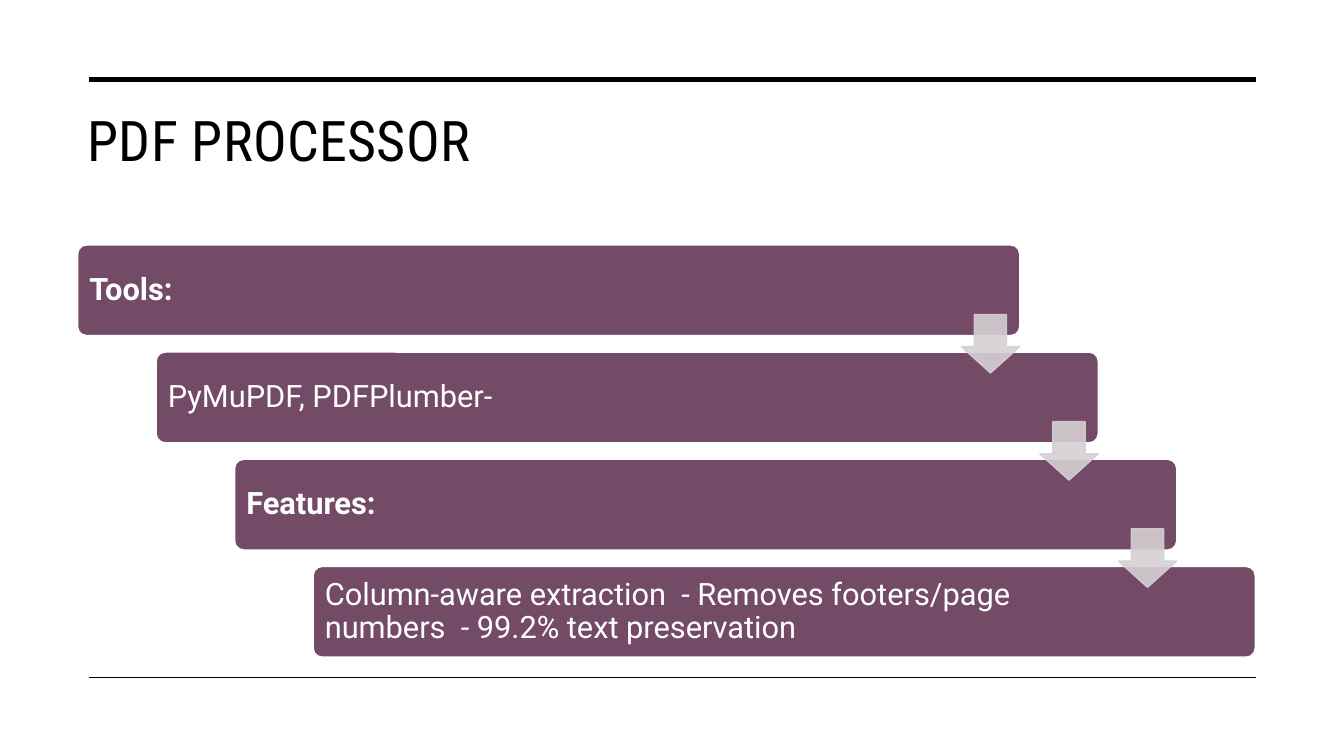
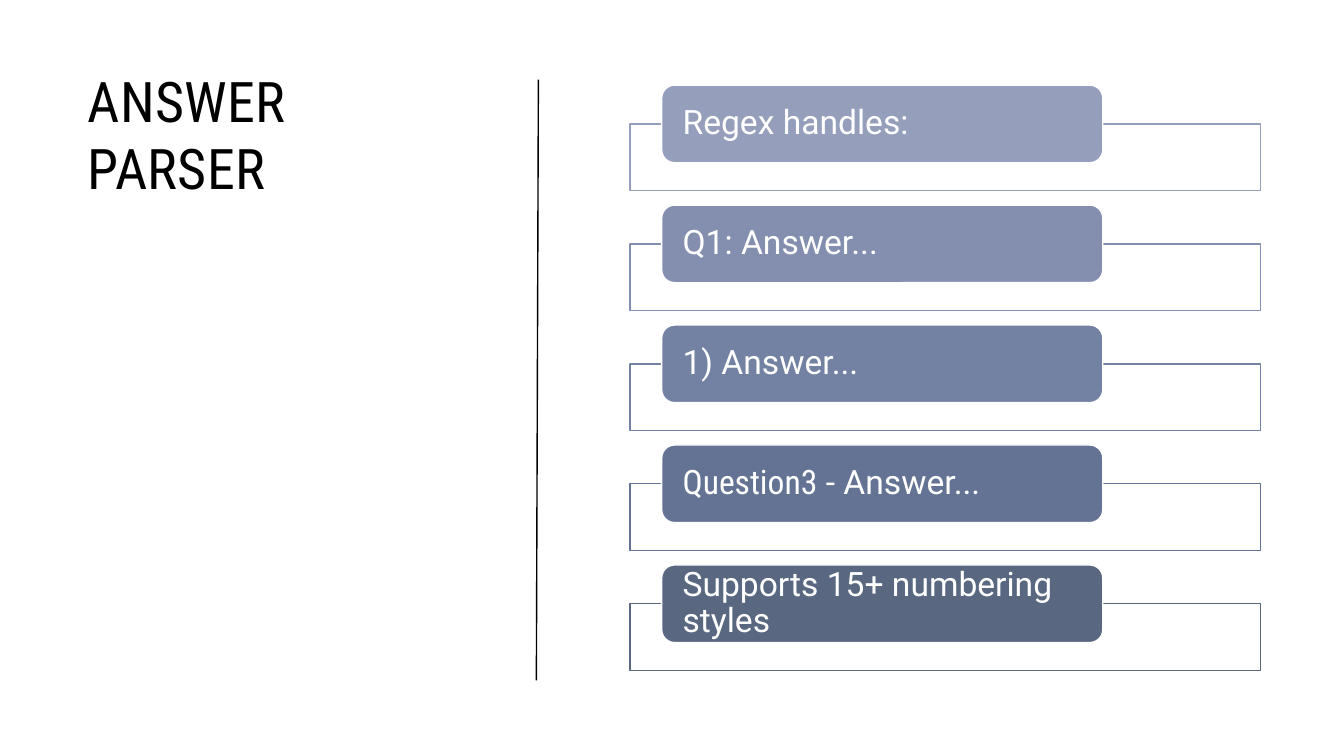
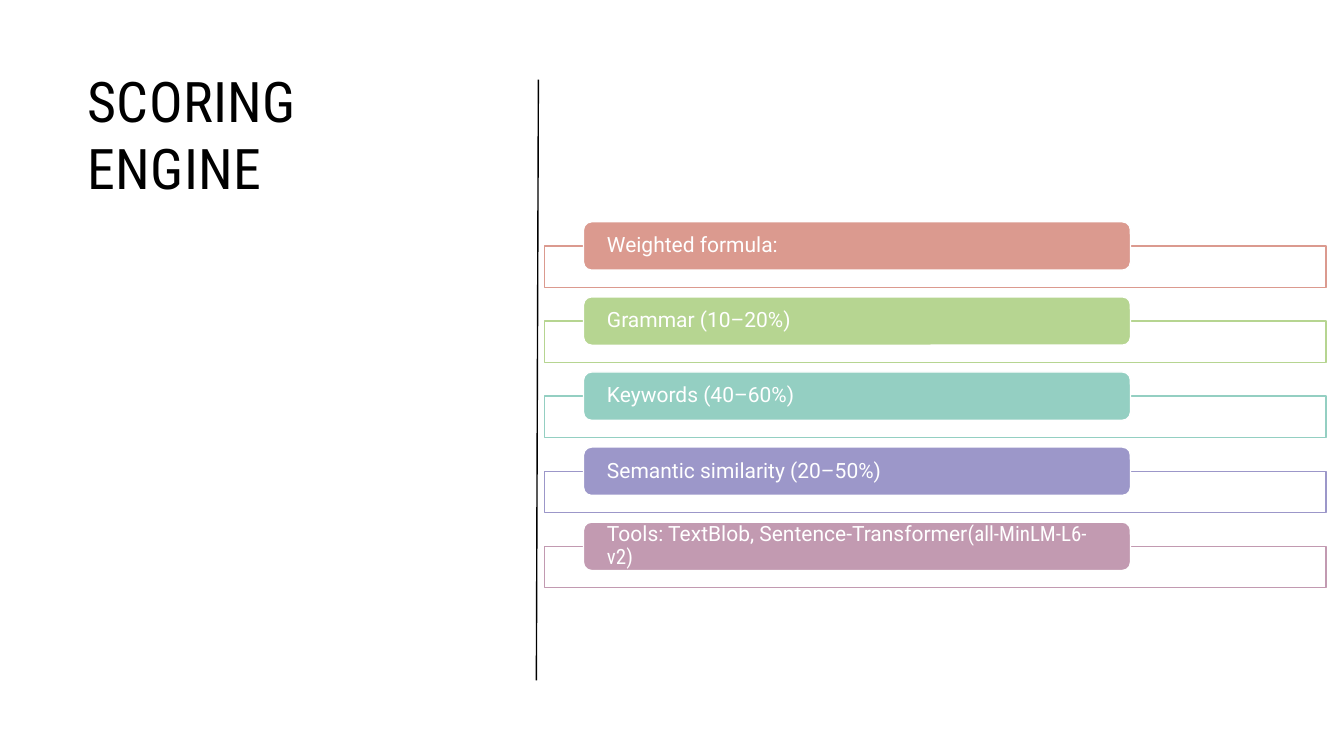
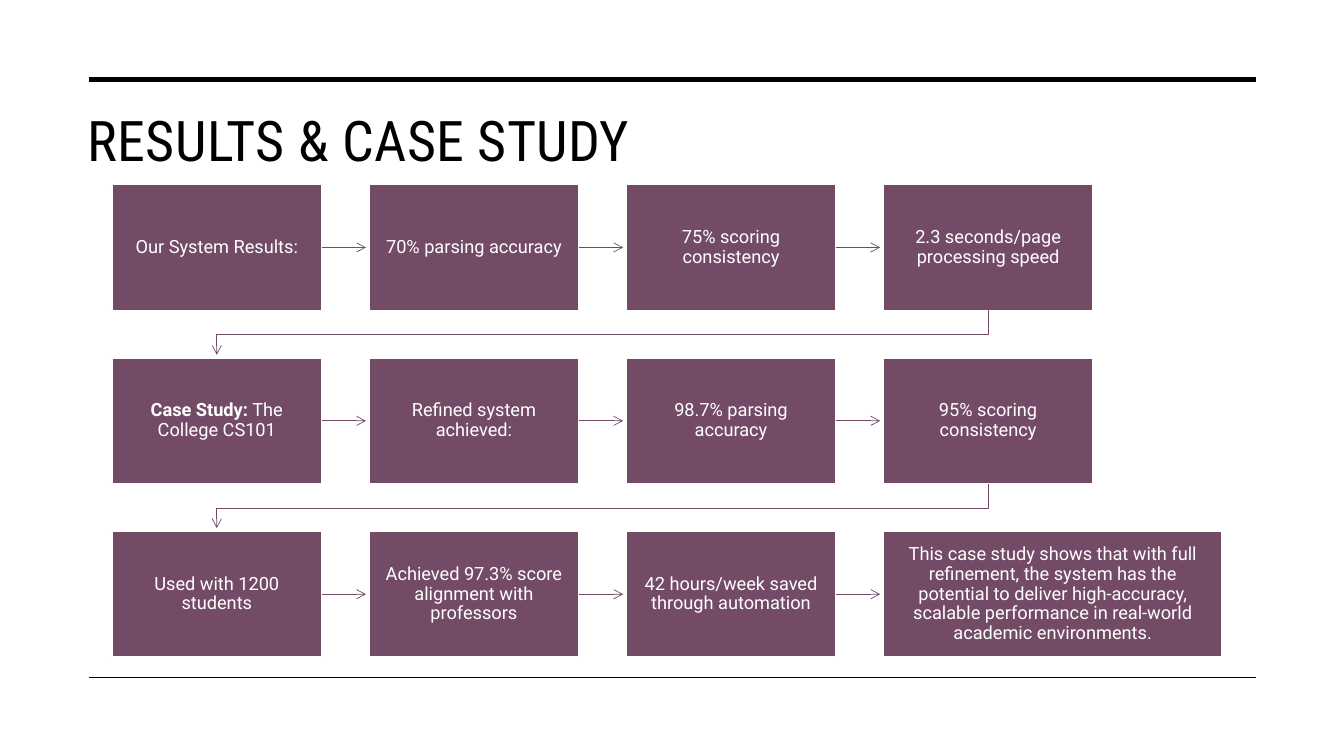
from dataclasses import dataclass
from pptx import Presentation
from pptx.dml.color import RGBColor
from pptx.enum.shapes import MSO_CONNECTOR, MSO_SHAPE
from pptx.enum.text import MSO_ANCHOR, PP_ALIGN
from pptx.oxml.ns import qn
from pptx.util import Inches, Pt
from lxml.etree import SubElement


@dataclass(frozen=True)
class Theme:
    black: str = "000000"
    white: str = "FFFFFF"
    plum: str = "734B67"
    pale: str = "D5D0D3"
    blues: tuple = ("959EBB", "848FAF", "7381A2", "647394", "596781")
    mixed: tuple = ("DB9A8F", "B6D591", "94CFC2", "9C97C9", "C29AB1")
    body: str = "Roboto"
    head: str = "Roboto Condensed"
    title: int = 40
    chip: int = 24
    step: int = 22
    small: int = 15
    card: int = 13


T = Theme()


# ---- Basic parts ----
def paint(fill, color, alpha=100):
    fill.solid()
    fill.fore_color.rgb = RGBColor.from_string(color)
    if alpha < 100:
        for tone in fill._xPr.iter(qn("a:srgbClr")):
            SubElement(tone, qn("a:alpha"), val=str(alpha * 1000))


def write(shape, text, size, font=T.body, color=T.white, bold=False, space=0,
          lead=0.9, align=PP_ALIGN.LEFT, anchor=MSO_ANCHOR.MIDDLE,
          inset=(0.1, 0.05, 0.1, 0.05)):
    """Text is a string, or a list of (string, changed format) runs."""
    frame = shape.text_frame
    frame.word_wrap = True
    frame.vertical_anchor = anchor
    (frame.margin_left, frame.margin_top,
     frame.margin_right, frame.margin_bottom) = map(Inches, inset)
    para = frame.paragraphs[0]
    para.alignment = align
    para.line_spacing = lead
    for part, diff in [(text, {})] if isinstance(text, str) else text:
        run = para.add_run()
        run.text = part
        run.font.size = Pt(size)
        run.font.name = diff.get("font", font)
        run.font.bold = diff.get("bold", bold)
        run.font.color.rgb = RGBColor.from_string(color)
        if space:
            run._r.get_or_add_rPr().set("spc", str(space))


def block(slide, kind, box, fill, edge=T.white, alpha=100, adjust=()):
    shape = slide.shapes.add_shape(kind, *map(Inches, box))
    shape.shadow.inherit = False
    for i, value in enumerate(adjust):
        shape.adjustments[i] = value
    paint(shape.fill, fill, alpha)
    shape.line.width = Pt(1)
    paint(shape.line.fill, edge, alpha if edge == fill else 100)
    return shape


def stroke(shape, color, width, arrow=False):
    shape.line.width = Pt(width)
    paint(shape.line.fill, color)
    if arrow:
        SubElement(shape.line._get_or_add_ln(), qn("a:tailEnd"), type="arrow")


def rule(slide, start, end, color=T.black, width=1.0, arrow=False):
    line = slide.shapes.add_connector(
        MSO_CONNECTOR.STRAIGHT, *map(Inches, start + end))
    stroke(line, color, width, arrow)
    SubElement(line._element.spPr, qn("a:effectLst"))
    return line


# ---- Shared slide frames ----
def title(slide, text, box):
    write(slide.shapes.add_textbox(*map(Inches, box)), text, T.title,
          font=T.head, color=T.black, space=30, lead=1.0,
          anchor=MSO_ANCHOR.TOP)


def wide(slide, text):
    rule(slide, (0.88, 0.79), (12.46, 0.79), width=3.5)
    rule(slide, (0.88, 6.72), (12.46, 6.72))
    title(slide, text, (0.77, 1, 11.69, 1.43))


def split(slide, text):
    title(slide, text, (0.77, 0.61, 3.96, 4.99))
    rule(slide, (5.32, 6.75), (5.34, 0.79))


# ---- Diagrams ----
def stairs(slide, box, steps):
    """Steps run from the top left to the bottom right of the box."""
    x, y, w, h = box
    sw, sh, tip = 0.8 * w, 0.9, 0.58
    last = len(steps) - 1
    dx, dy = (w - sw) / last, (h - sh) / last
    for i, (text, bold) in enumerate(steps):
        step = block(slide, MSO_SHAPE.ROUNDED_RECTANGLE,
                     (x + i * dx, y + i * dy, sw, sh), T.plum, adjust=(0.1,))
        write(step, text, T.step, bold=bold, inset=(0.09, 0.09, 1.46, 0.09))
    for i in range(last):
        block(slide, MSO_SHAPE.DOWN_ARROW,
              (x + i * dx + sw - tip, y + i * dy + 0.69, tip, tip),
              T.pale, edge=T.pale, alpha=90, adjust=(0.55, 0.45))


def chips(slide, box, pitch, high, items, colors, size, pad):
    """Box is the first frame; each chip is centred on its frame's top."""
    x, y, w, h = box
    for i, (text, color) in enumerate(zip(items, colors)):
        top = y + i * pitch
        block(slide, MSO_SHAPE.RECTANGLE, (x, top, w, h), T.white, edge=color,
              alpha=90)
        chip = block(slide, MSO_SHAPE.ROUNDED_RECTANGLE,
                     (x + 0.05 * w, top - high / 2, 0.7 * w, high), color)
        write(chip, text, size, inset=(pad, 0, pad, 0))


def turn(slide, start, end, mid):
    """Arrow from the end of one row to the start of the next."""
    (x1, y1), (x2, y2) = start, end
    pen = slide.shapes.build_freeform(Inches(x1), Inches(y1))
    pen.add_line_segments([(Inches(a), Inches(b)) for a, b in
                           ((x1, mid), (x2, mid), (x2, y2))], close=False)
    path = pen.convert_to_shape()
    path.shadow.inherit = False
    path.fill.background()
    stroke(path, T.plum, 0.5, arrow=True)


def flow(slide, box, rows):
    """Cards in rows; the last one fills the box's full width."""
    x, y, w, h = box
    cw, ch, dx, gap = 2.08, 1.25, 2.55, 0.03
    dy = (h - ch) / (len(rows) - 1)
    for r, row in enumerate(rows):
        top = y + r * dy
        for c, text in enumerate(row):
            left = x + c * dx
            end = c == len(row) - 1
            full = end and r == len(rows) - 1
            card = block(slide, MSO_SHAPE.RECTANGLE,
                         (left, top, x + w - left if full else cw, ch), T.plum)
            write(card, text, T.card, align=PP_ALIGN.CENTER,
                  inset=(0.1, 0.11, 0.1, 0.11))
            if not end:
                mid = top + ch / 2
                link = rule(slide, (left + cw, mid), (left + dx - gap, mid),
                            T.plum, 0.5, arrow=True)
                link.begin_connect(card, 3)
            elif not full:
                turn(slide, (left + cw / 2, top + ch),
                     (x + cw / 2, top + dy - gap), top + ch + 0.24)


# ---- Slides ----
def main():
    deck = Presentation()
    deck.slide_width, deck.slide_height = Inches(13.33), Inches(7.5)

    def new():
        return deck.slides.add_slide(deck.slide_layouts[6])

    page = new()
    wide(page, "PDF PROCESSOR")
    stairs(page, (0.77, 2.43, 11.68, 4.09), [
        ("Tools:", True),
        ("PyMuPDF, PDFPlumber-", False),
        ("Features:", True),
        ("Column-aware extraction  - Removes footers/page numbers  "
         "- 99.2% text preservation", False),
    ])

    page = new()
    split(page, "ANSWER PARSER")
    chips(page, (6.25, 1.23, 6.25, 0.66), 1.19, 0.77, [
        "Regex handles:",
        "Q1: Answer...",
        "1) Answer...",
        [("Question3", {"font": T.head}), (" - Answer...", {})],
        "Supports 15+ numbering styles",
    ], T.blues, T.chip, 0.17)

    page = new()
    split(page, "SCORING ENGINE")
    chips(page, (5.4, 2.44, 7.75, 0.41), 0.745, 0.48, [
        "Weighted formula:",
        "Grammar (10–20%)",
        "Keywords (40–60%)",
        "Semantic similarity (20–50%)",
        [("Tools: TextBlob, Sentence-Transformer", {}),
         ("(all-MinLM-L6-v2)", {"font": T.head})],
    ], T.mixed, T.small, 0.21)

    page = new()
    wide(page, "RESULTS & CASE STUDY")
    flow(page, (1.11, 1.83, 11.01, 4.69), [
        ["Our System Results:", "70% parsing accuracy",
         "75% scoring consistency", "2.3 seconds/page processing speed"],
        [[("Case Study: ", {"bold": True}), ("The College CS101", {})],
         "Refined system achieved:", "98.7% parsing accuracy",
         "95% scoring consistency"],
        ["Used with 1200 students",
         "Achieved 97.3% score alignment with professors",
         "42 hours/week saved through automation",
         "This case study shows that with full refinement, the system has the "
         "potential to deliver high-accuracy, scalable performance in "
         "real-world academic environments."],
    ])

    deck.save("out.pptx")


if __name__ == "__main__":
    main()
